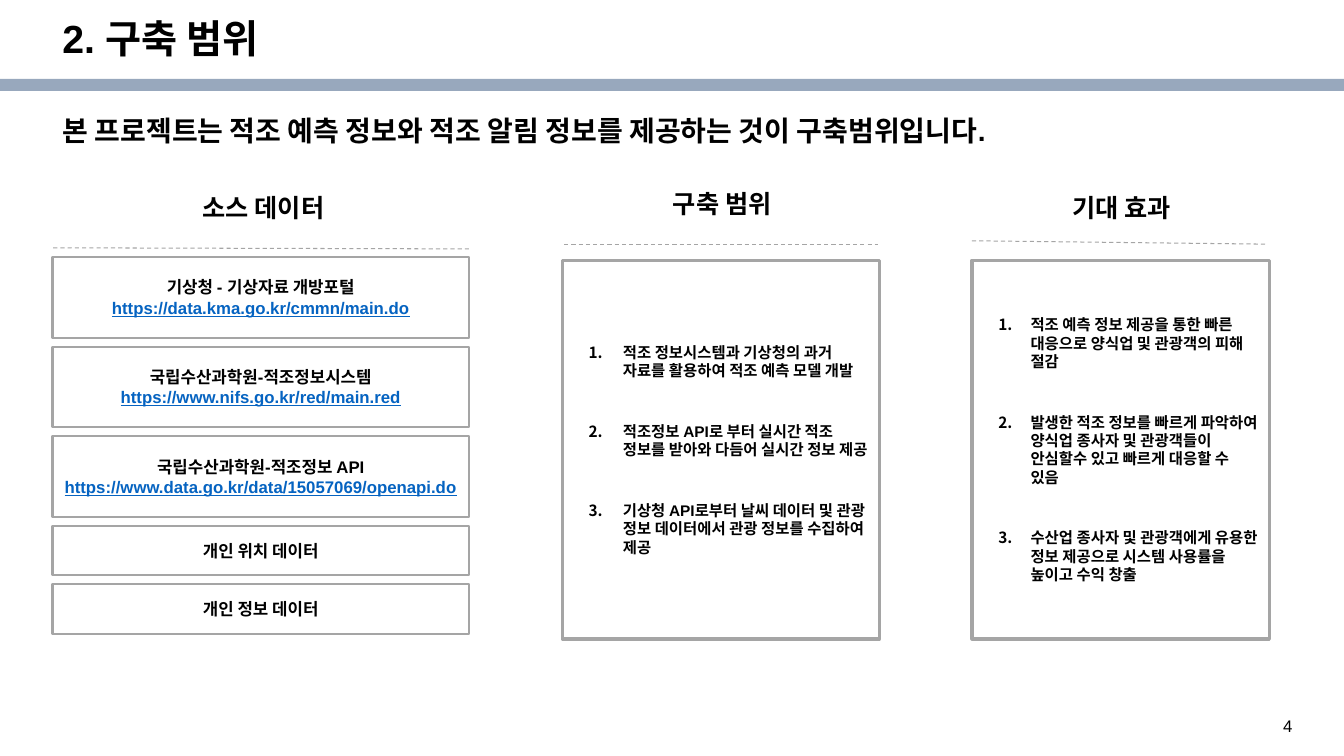
from pptx import Presentation
from pptx.util import Pt
from pptx.dml.color import RGBColor
from pptx.enum.dml import MSO_LINE
from pptx.enum.shapes import MSO_CONNECTOR, MSO_SHAPE
from pptx.enum.text import MSO_ANCHOR, PP_ALIGN
from lxml import etree

RECT, LINE = MSO_SHAPE.RECTANGLE, MSO_CONNECTOR.STRAIGHT
DASH = MSO_LINE.DASH
TOP, MID = MSO_ANCHOR.TOP, MSO_ANCHOR.MIDDLE
LEFT, MIDDLE = PP_ALIGN.LEFT, PP_ALIGN.CENTER
NS = "http://schemas.openxmlformats.org/drawingml/2006/main"
BLACK, WHITE, GRAY, BLUE, BAND = "000000", "FFFFFF", "A5A5A5", "0563C1", "98A8BD"

# Content
TITLE = "2. 구축 범위"
LEAD = "본 프로젝트는 적조 예측 정보와 적조 알림 정보를 제공하는 것이 구축범위입니다."
PAGE = "4"
HEADS = [  # text, left, top, width
    ("소스 데이터", 120.2, 133.9, 136),
    ("구축 범위", 450.7, 131, 130.3),
    ("기대 효과", 733, 133.9, 136),
]
RULES = [  # x1, y1, x2, y2
    (38, 177, 335.5, 177.8),
    (403, 174.4, 627.2, 174.4),
    (694.3, 172, 905, 174.4),
]
SOURCES = [  # height, lines
    (57.6, ["기상청 - 기상자료 개방포털", "https://data.kma.go.kr/cmmn/main.do"]),
    (57.6, ["국립수산과학원-적조정보시스템", "https://www.nifs.go.kr/red/main.red"]),
    (57.6, ["국립수산과학원-적조정보 API",
            "https://www.data.go.kr/data/15057069/openapi.do"]),
    (35.3, ["개인 위치 데이터"]),
    (35.3, ["개인 정보 데이터"]),
]
PANELS = [  # left, width, side inset, hanging indent, items
    (401.8, 226.4, 7.2, 24.5, [
        "적조 정보시스템과 기상청의 과거 자료를 활용하여 적조 예측 모델 개발",
        "적조정보 API로 부터 실시간 적조 정보를 받아와 다듬어 실시간 정보 제공",
        "기상청 API로부터 날씨 데이터 및 관광 정보 데이터에서 관광 정보를 수집하여 제공"]),
    (694.3, 212.4, 5.8, 23, [
        "적조 예측 정보 제공을 통한 빠른 대응으로 양식업 및 관광객의 피해 절감",
        "발생한 적조 정보를 빠르게 파악하여 양식업 종사자 및 관광객들이 "
        "안심할수 있고 빠르게 대응할 수 있음",
        "수산업 종사자 및 관광객에게 유용한 정보 제공으로 시스템 사용률을 높이고 수익 창출"]),
]

deck = Presentation()
deck.slide_width, deck.slide_height = Pt(960), Pt(540)
slide = deck.slides.add_slide(deck.slide_layouts[6])
shapes = slide.shapes


def color(text):
    return RGBColor.from_string(text)


def box(x, y, w, h, fill, edge=None, width=0):
    item = shapes.add_shape(RECT, Pt(x), Pt(y), Pt(w), Pt(h))
    item.shadow.inherit = False
    item.fill.solid()
    item.fill.fore_color.rgb = color(fill)
    if edge:
        item.line.color.rgb = color(edge)
        item.line.width = Pt(width)
    else:
        item.line.fill.background()
    return item


def number(par, hang):
    props = par._p.get_or_add_pPr()
    props.set("marL", str(Pt(36)))
    props.set("indent", str(-Pt(hang)))
    tint = etree.SubElement(props, f"{{{NS}}}buClr")
    etree.SubElement(tint, f"{{{NS}}}srgbClr", val=BLACK)
    etree.SubElement(props, f"{{{NS}}}buFont", typeface="+mj-lt")
    etree.SubElement(props, f"{{{NS}}}buAutoNum", type="arabicPeriod")


def write(item, lines, size, align=LEFT, anchor=TOP, bold=True,
          space=None, gap=0, hang=0):
    frame = item.text_frame
    frame.word_wrap = True
    frame.vertical_anchor = anchor
    for i, line in enumerate(lines):
        par = frame.add_paragraph() if i else frame.paragraphs[0]
        par.text = line
        par.alignment = align
        if space:
            par.line_spacing = space
        if gap and i:
            par.space_before = Pt(gap)
        if hang:
            number(par, hang)
        link = line.startswith("https")
        font = par.font
        font.name, font.size, font.bold = "Arial", Pt(size), bold
        font.color.rgb = color(BLUE if link else BLACK)
        if link:
            font.underline = True


def label(x, y, w, h, text, size, **style):
    item = shapes.add_textbox(Pt(x), Pt(y), Pt(w), Pt(h))
    write(item, [text], size, **style)


# Title, band, lead and page number
box(0, 56.4, 960, 8.6, BAND)
label(37.5, 10.8, 828, 38.2, TITLE, 28, space=0.9)
label(37.5, 69.1, 864.7, 51.1, LEAD, 20, space=0.9, anchor=MID)
label(909.4, 507.6, 37.4, 19.4, PAGE, 12, bold=False)

# Column heads and dashed rules
for text, x, y, w in HEADS:
    label(x, y, w, 28.8, text, 18, align=MIDDLE)
for ends in RULES:
    rule = shapes.add_connector(LINE, *map(Pt, ends))
    rule.line.color.rgb = color(GRAY)
    rule.line.width = Pt(0.75)
    rule.line.dash_style = DASH
    etree.SubElement(rule._element.spPr, f"{{{NS}}}effectLst")

# Source boxes, stacked with an equal gap
y = 183.6
for h, lines in SOURCES:
    write(box(37.5, y, 297.5, h, WHITE, GRAY, 1.5), lines, 12,
          align=MIDDLE, anchor=MID)
    y += h + 6.4

# Numbered panels
for x, w, inset, hang, items in PANELS:
    panel = box(x, 185.8, w, 270.7, WHITE, GRAY, 2.25)
    panel.text_frame.margin_left = panel.text_frame.margin_right = Pt(inset)
    write(panel, items, 11, anchor=MID, gap=30, hang=hang)

deck.save("out.pptx")
